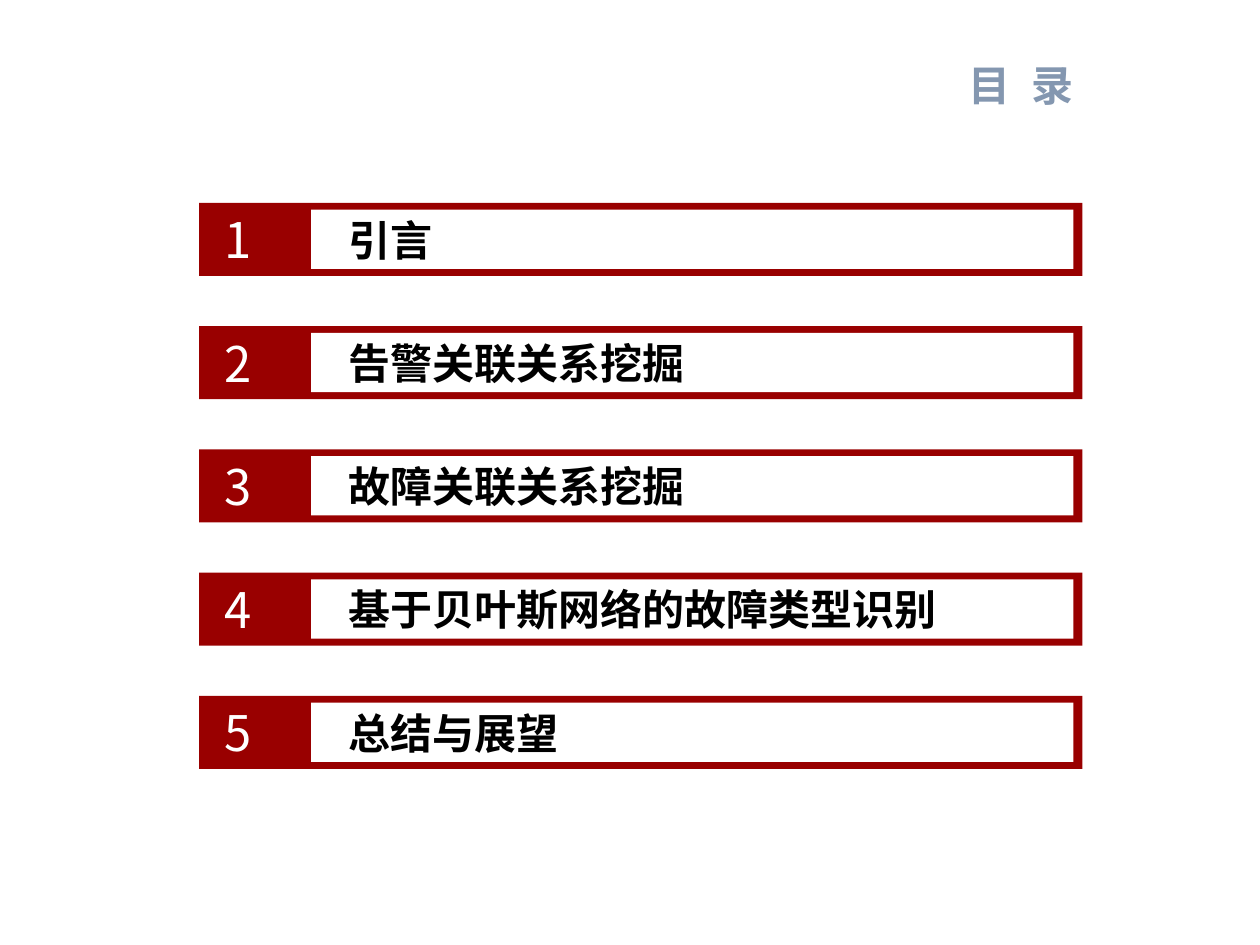
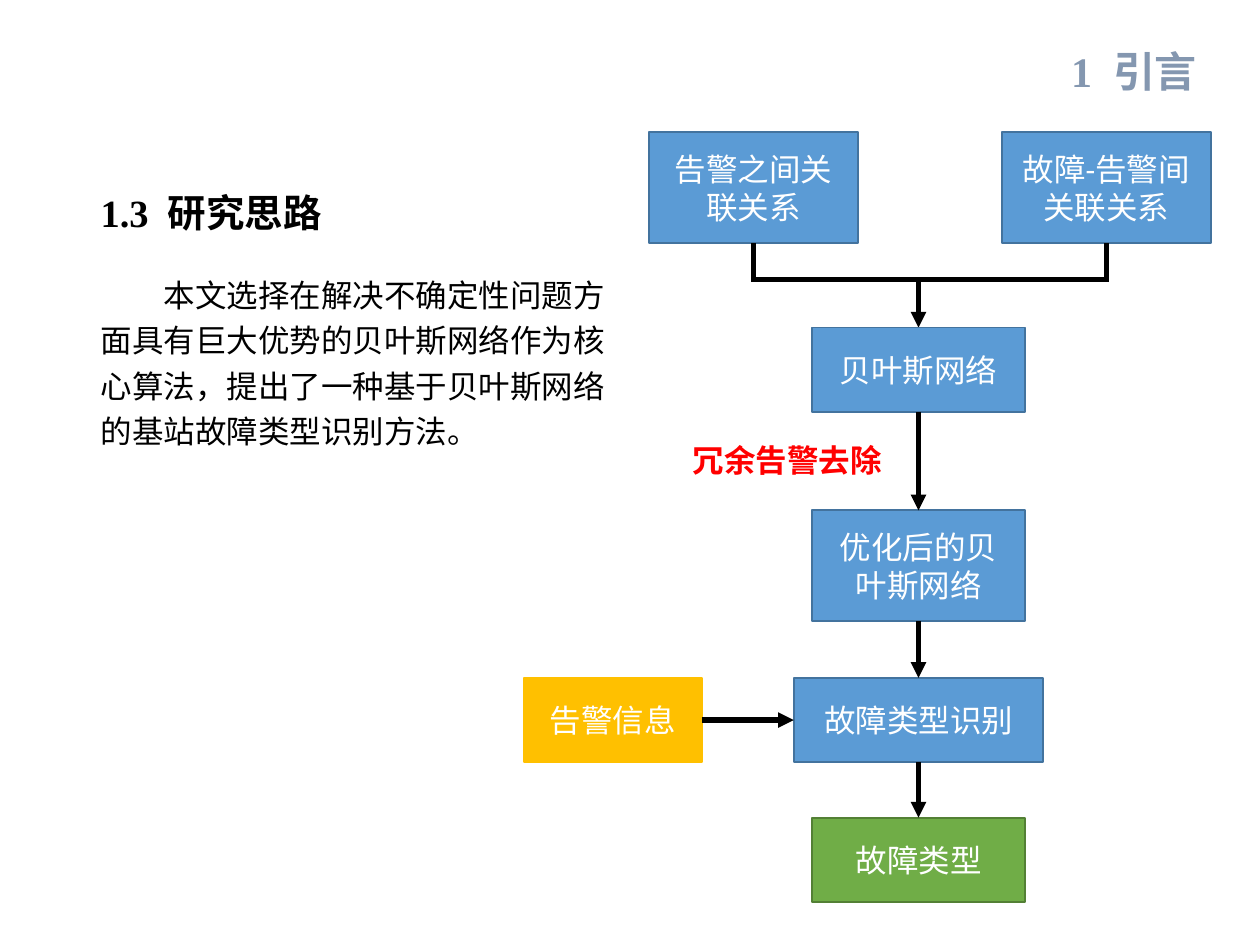
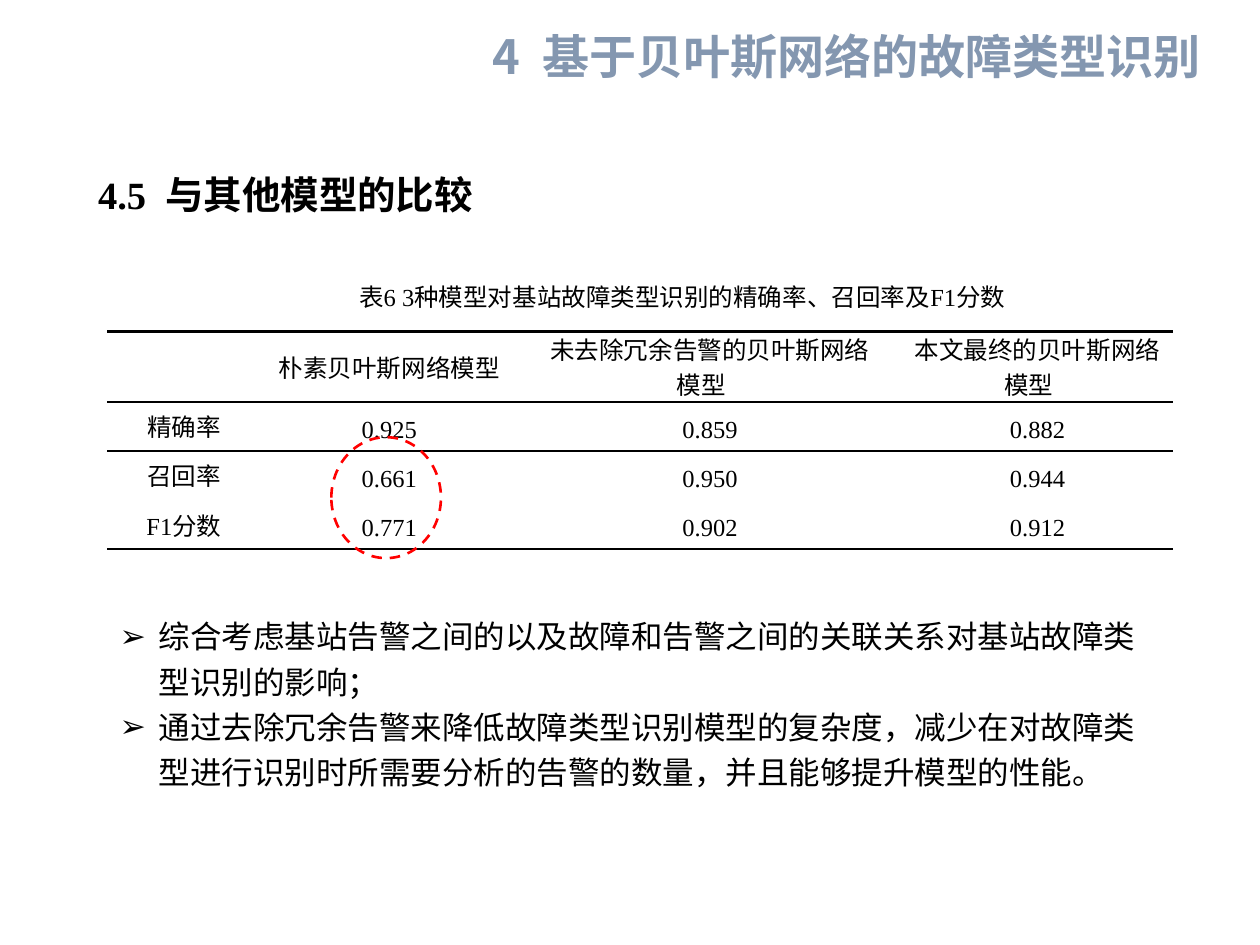
from dataclasses import dataclass, replace
from itertools import pairwise

from pptx import Presentation
from pptx.dml.color import RGBColor
from pptx.enum.dml import MSO_LINE
from pptx.enum.shapes import MSO_CONNECTOR, MSO_SHAPE
from pptx.enum.text import MSO_ANCHOR, MSO_AUTO_SIZE, PP_ALIGN
from pptx.oxml.ns import qn
from pptx.util import Inches, Pt
from lxml import etree

LEFT, CENTER, RIGHT = PP_ALIGN.LEFT, PP_ALIGN.CENTER, PP_ALIGN.RIGHT
TOP, MIDDLE = MSO_ANCHOR.TOP, MSO_ANCHOR.MIDDLE
RECTANGLE, PROCESS, OVAL = MSO_SHAPE.RECTANGLE, MSO_SHAPE.FLOWCHART_PROCESS, MSO_SHAPE.OVAL
STRAIGHT = MSO_CONNECTOR.STRAIGHT
SITE_TOP, SITE_LEFT, SITE_BOTTOM, SITE_RIGHT = range(4)
TITLE_ONLY, TITLE_AND_BODY = 5, 1
PLAIN_TABLE = "{2D5ABB26-0587-4C30-8999-92F81FD0307C}"


@dataclass(frozen=True)
class Style:
    size: float
    face: str
    color: str = "000000"
    bold: bool = False


class Theme:
    sans, serif, latin = "Noto Sans CJK SC", "Times New Roman", "Calibri"
    black, white, red, crimson = "000000", "FFFFFF", "FF0000", "990000"
    blue, blue_edge = "5B9BD5", "43739E"
    green, green_edge = "70AD47", "538035"
    amber = "FFC000"
    title = Style(24, sans, "8497B0", True)
    section = Style(22, serif, bold=True)
    body = Style(18, latin)
    node = Style(18, latin, white)
    note = Style(18, latin, red, True)
    number = Style(28, sans, white)
    entry = Style(24, sans, bold=True)
    table = Style(14, serif)
    body_spacing = 1.2


@dataclass(frozen=True)
class Box:
    """An area counted in grid cells: the slide has 100 columns and 75 rows."""
    left: float
    top: float
    width: float
    height: float

    def inner(self, left, top, width, height):
        return Box(self.left + left, self.top + top, width, height)

    def lengths(self):
        return [cells(n) for n in (self.left, self.top, self.width, self.height)]


PAGE = Box(0, 0, 100, 75)


def cells(count):
    return Inches(count / 10)


def rgb(value):
    return RGBColor.from_string(value)


# Text
def add_span(para, text, style, tracking=0):
    span = para.add_run()
    span.text = text
    font = span.font
    font.size, font.name, font.bold = Pt(style.size), style.face, style.bold
    font.color.rgb = rgb(style.color)
    properties = span._r.get_or_add_rPr()
    etree.SubElement(properties, qn("a:ea"), typeface=Theme.sans)
    if tracking:
        properties.set("spc", str(round(tracking * 100)))


def add_numbered(para, number, text, style, text_style=None):
    """A number and its heading, parted by one widened space."""
    add_span(para, number, style)
    add_span(para, " ", style, tracking=style.size / 4)
    add_span(para, text, text_style or style)


def format_para(para, align=LEFT, margin=0, indent=0, spacing=None, bullet=None):
    para.alignment = align
    para.space_before = para.space_after = Pt(0)
    if spacing:
        para.line_spacing = spacing
    properties = para._p.get_or_add_pPr()
    properties.set("marL", str(cells(margin)))
    properties.set("indent", str(cells(indent)))
    if bullet:
        etree.SubElement(properties, qn("a:buChar"), char=bullet)
    else:
        etree.SubElement(properties, qn("a:buNone"))
    return para


def first_para(shape, anchor=TOP, **options):
    frame = shape.text_frame
    frame.word_wrap = True
    frame.auto_size = MSO_AUTO_SIZE.NONE
    frame.vertical_anchor = anchor
    return format_para(frame.paragraphs[0], **options)


def place(shape, box):
    shape.left, shape.top, shape.width, shape.height = box.lengths()
    return shape


def add_title(page, box, align=RIGHT):
    return first_para(place(page.shapes.title, box), MIDDLE, align=align)


def add_text(page, box, **options):
    return first_para(page.shapes.add_textbox(*box.lengths()), **options)


# Shapes and lines
def add_block(page, kind, box, fill=None, edge=None, weight=1):
    shape = page.shapes.add_shape(kind, *box.lengths())
    shape.shadow.inherit = False
    if fill:
        shape.fill.solid()
        shape.fill.fore_color.rgb = rgb(fill)
    else:
        shape.fill.background()
    if edge:
        shape.line.color.rgb = rgb(edge)
        shape.line.width = Pt(weight)
    else:
        shape.line.fill.background()
    return shape


def add_line(page, box, start, end, arrow=False):
    points = [cells(n) for x, y in (start, end) for n in (box.left + x, box.top + y)]
    line = page.shapes.add_connector(STRAIGHT, *points)
    line.line.color.rgb = rgb(Theme.black)
    line.line.width = Pt(3)
    if arrow:
        etree.SubElement(line.line._get_or_add_ln(), qn("a:tailEnd"), type="triangle")
    etree.SubElement(line._element.spPr, qn("a:effectLst"))
    return line


def join(page, source, source_site, target, target_site):
    arrow = add_line(page, PAGE, (0, 0), (1, 1), arrow=True)
    arrow.begin_connect(source, source_site)
    arrow.end_connect(target, target_site)


# Contents slide
def add_entry(page, box, number, text):
    frame = add_block(page, RECTANGLE, box, Theme.crimson)
    add_span(first_para(frame, MIDDLE, margin=1), number, Theme.number)
    label = add_block(page, RECTANGLE, box.inner(8.9, 0.55, 60.5, 4.7), Theme.white)
    add_span(first_para(label, MIDDLE, indent=2), text, Theme.entry)


def add_entries(page, box, entries):
    pitch, height = 9.78, 5.8
    for row, text in enumerate(entries):
        add_entry(page, box.inner(0, row * pitch, box.width, height), str(row + 1), text)


def build_contents(deck):
    page = deck.slides.add_slide(deck.slide_layouts[TITLE_ONLY])
    add_numbered(add_title(page, PAGE.inner(75.9, 2.9, 14.6, 7.6), LEFT), "目", "录", Theme.title)
    add_entries(page, PAGE.inner(15.8, 16.1, 70.1, 44.9),
                ["引言", "告警关联关系挖掘", "故障关联关系挖掘",
                 "基于贝叶斯网络的故障类型识别", "总结与展望"])


# Flow chart slide
def add_node(page, box, center, top, width, height, text,
             fill=Theme.blue, edge=Theme.blue_edge):
    area = box.inner(center - width / 2, top, width, height)
    node = add_block(page, PROCESS, area, fill, edge)
    add_span(first_para(node, MIDDLE, align=CENTER), text, Theme.node)
    return node


def add_flow(page, box):
    low, high, width = 6.7, 8.8, 16.9
    left, right, trunk = 18.2, 46.2, 31.3
    merge, main_top, step_top = 11.7, 15.5, 43.3

    # Two kinds of relation merge into the network
    for center, text in ((left, "告警之间关联关系"), (right, "故障-告警间关联关系")):
        add_node(page, box, center, 0, 16.6, high, text)
        add_line(page, box, (center, high), (center, merge + 0.2))
    add_line(page, box, (left, merge), (right, merge))
    add_line(page, box, (trunk, merge), (trunk, main_top), arrow=True)

    # Main column
    network = add_node(page, box, trunk, main_top, width, low, "贝叶斯网络")
    improved = add_node(page, box, trunk, 30, width, high, "优化后的贝叶斯网络")
    detection = add_node(page, box, trunk, step_top, 19.8, low, "故障类型识别")
    result = add_node(page, box, trunk, 54.4, width, low, "故障类型",
                      Theme.green, Theme.green_edge)
    for upper, lower in pairwise((network, improved, detection, result)):
        join(page, upper, SITE_BOTTOM, lower, SITE_TOP)

    # Side input and remark
    alarms = add_node(page, box, 7.05, step_top, 14.1, low, "告警信息", Theme.amber, Theme.amber)
    join(page, alarms, SITE_RIGHT, detection, SITE_LEFT)
    add_span(add_text(page, box.inner(12.4, 24, 18.1, 4)), "冗余告警去除", Theme.note)


def build_approach(deck):
    page = deck.slides.add_slide(deck.slide_layouts[TITLE_AND_BODY])
    title_style = replace(Theme.title, face=Theme.serif)
    add_numbered(add_title(page, PAGE.inner(58.7, 3.1, 37.3, 5)), "1", "引言", title_style)
    heading = add_text(page, PAGE.inner(7, 13.8, 32, 5.5), spacing=Theme.body_spacing)
    add_numbered(heading, "1.3", "研究思路", Theme.section)
    body = place(page.placeholders[1], PAGE.inner(7, 20.8, 42.6, 15.6))
    para = first_para(body, indent=5, spacing=Theme.body_spacing)
    add_span(para, "本文选择在解决不确定性问题方面具有巨大优势的贝叶斯网络作为核心算法，"
                   "提出了一种基于贝叶斯网络的基站故障类型识别方法。", Theme.body)
    add_flow(page, PAGE.inner(41.6, 10.5, 54.5, 61.1))


# Comparison slide
def add_rule(cell, side, weight):
    line = etree.SubElement(cell._tc.get_or_add_tcPr(), qn(side), w=str(Pt(weight)))
    fill = etree.SubElement(line, qn("a:solidFill"))
    etree.SubElement(fill, qn("a:srgbClr"), val=Theme.black)


def fill_cell(cell, text, rules):
    for side, weight in rules:
        add_rule(cell, side, weight)
    cell.fill.background()
    cell.vertical_anchor = MIDDLE
    cell.margin_left = cell.margin_right = cells(0.7)
    cell.margin_top = cell.margin_bottom = 0
    para = format_para(cell.text_frame.paragraphs[0], CENTER, indent=1.4, spacing=Pt(20))
    if text:
        add_span(para, text, Theme.table)


def add_scores(page, box, rows):
    widths, heights = (10.8, 21.8, 29.1, 22.9), (5.6, 3.9, 3.9, 3.9)
    rules = {0: [("a:lnT", 1.5), ("a:lnB", 1)], 1: [("a:lnT", 1)],
             len(rows) - 1: [("a:lnB", 1.5)]}
    table = page.shapes.add_table(len(rows), len(widths), *box.lengths()).table
    table.first_row = table.horz_banding = False
    table._tbl.tblPr.find(qn("a:tableStyleId")).text = PLAIN_TABLE
    for column, width in zip(table.columns, widths):
        column.width = cells(width)
    for index, (values, height) in enumerate(zip(rows, heights)):
        table.rows[index].height = cells(height)
        for column, text in enumerate(values):
            fill_cell(table.cell(index, column), text, rules.get(index, []))
    ring = add_block(page, OVAL, box.inner(17.8, 8.4, 8.7, 9.6), edge=Theme.red, weight=1.5)
    ring.line.dash_style = MSO_LINE.DASH


def add_findings(page, box, findings):
    body = place(page.placeholders[1], box)
    options = dict(margin=3.1, indent=-3.1, spacing=Theme.body_spacing, bullet="➢")
    for index, text in enumerate(findings):
        if index:
            para = format_para(body.text_frame.add_paragraph(), **options)
        else:
            para = first_para(body, **options)
        add_span(para, text, Theme.body)


def build_comparison(deck):
    page = deck.slides.add_slide(deck.slide_layouts[TITLE_AND_BODY])
    add_numbered(add_title(page, PAGE.inner(33.8, 1.7, 62.5, 5.5)), "4",
                 "基于贝叶斯网络的故障类型识别", replace(Theme.title, size=26.9))
    add_numbered(add_text(page, PAGE.inner(6.8, 13.1, 68.9, 4.7)), "4.5", "与其他模型的比较",
                 Theme.section, replace(Theme.section, face=Theme.latin))
    caption = add_text(page, PAGE.inner(26.1, 21.9, 56.1, 3.4), align=CENTER)
    add_span(caption, "表", replace(Theme.table, face=Theme.latin))
    add_span(caption, "6 3种模型对基站故障类型识别的精确率、召回率及F1分数", Theme.table)
    add_scores(page, PAGE.inner(8.5, 26.3, 84.6, 17.3), [
        ("", "朴素贝叶斯网络模型", "未去除冗余告警的贝叶斯网络模型", "本文最终的贝叶斯网络模型"),
        ("精确率", "0.925", "0.859", "0.882"),
        ("召回率", "0.661", "0.950", "0.944"),
        ("F1分数", "0.771", "0.902", "0.912"),
    ])
    add_findings(page, PAGE.inner(8.5, 47.9, 84.6, 15.3), [
        "综合考虑基站告警之间的以及故障和告警之间的关联关系对基站故障类型识别的影响；",
        "通过去除冗余告警来降低故障类型识别模型的复杂度，减少在对故障类型进行识别时"
        "所需要分析的告警的数量，并且能够提升模型的性能。",
    ])


def main():
    deck = Presentation()
    deck.slide_width, deck.slide_height = cells(PAGE.width), cells(PAGE.height)
    build_contents(deck)
    build_approach(deck)
    build_comparison(deck)
    deck.save("out.pptx")


if __name__ == "__main__":
    main()
